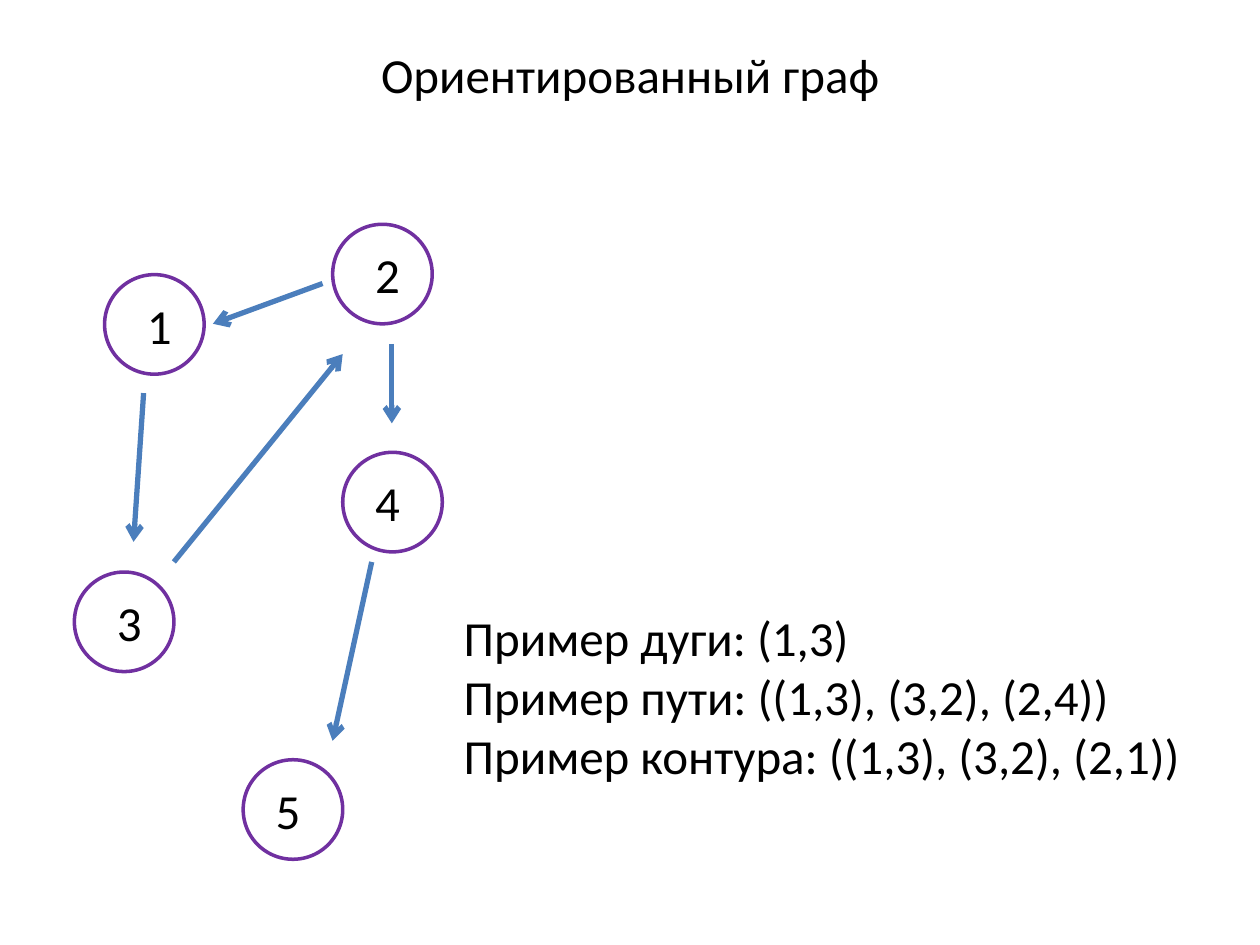
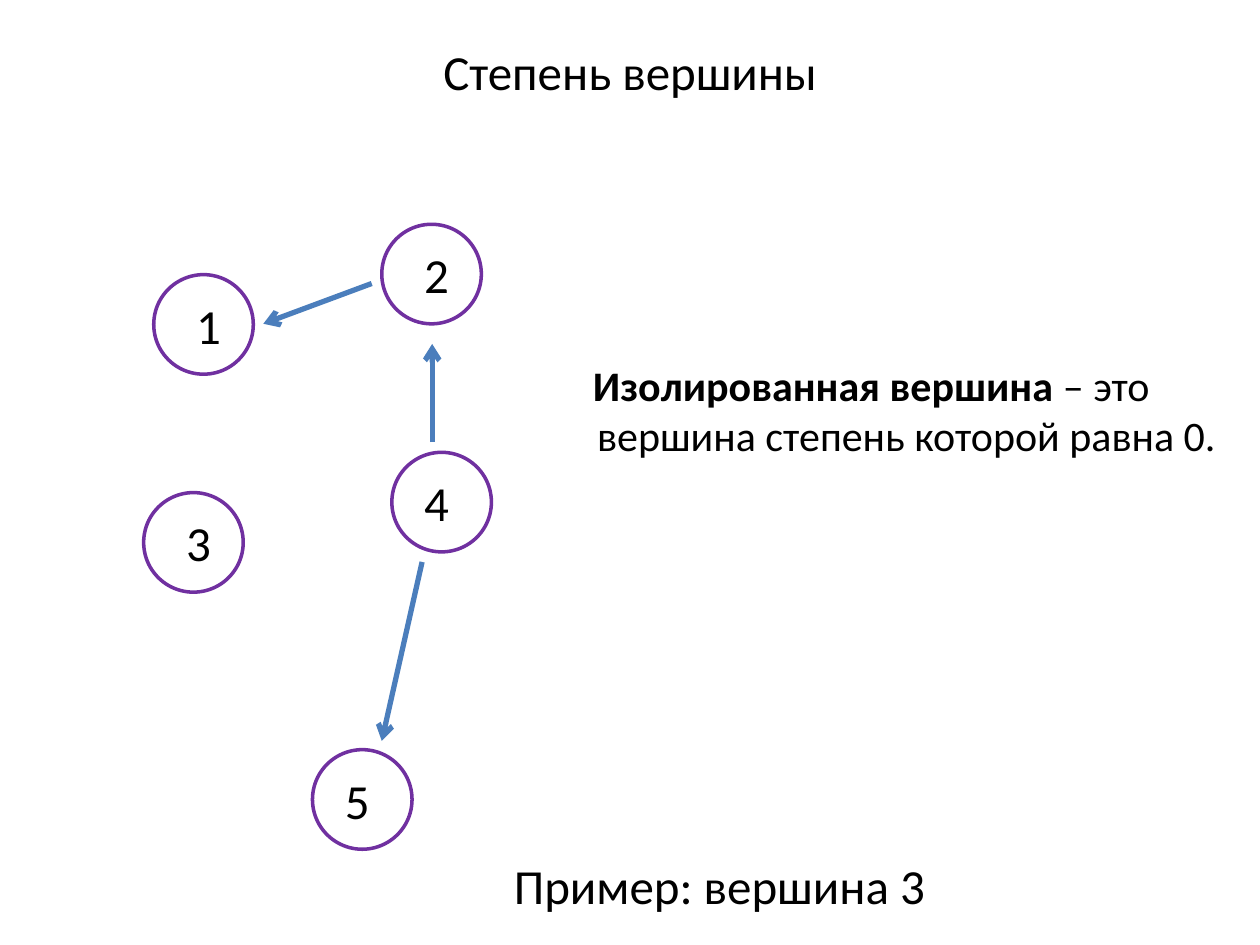
from lxml.etree import SubElement
from pptx import Presentation
from pptx.dml.color import RGBColor
from pptx.enum.shapes import MSO_CONNECTOR, MSO_SHAPE
from pptx.enum.text import MSO_ANCHOR, MSO_AUTO_SIZE, PP_ALIGN
from pptx.oxml.ns import qn
from pptx.util import Inches, Pt

COLORS = {"text": "000000", "node": "FFFFFF", "outline": "7030A0", "arrow": "4B7EBC"}
FONT = "Calibri"
HANGING = 0.56
DIAMETER = 0.79
# Digits stand slightly right or left of the circle's centre
LABEL_SHIFT = {"1": 0.04, "2": 0.04, "3": 0.04, "4": -0.04, "5": -0.04}

# Nodes give the left and top of each circle; arrows run from point to point.
# Each text line is a list of (text, bold) runs.
DIRECTED = {
    "title": "Ориентированный граф",
    "title_top": 0,
    "nodes": {"1": (0.83, 2.18), "2": (2.64, 1.78), "3": (0.59, 4.54),
              "4": (2.72, 3.59), "5": (1.93, 6.03)},
    "arrows": [
        ((2.56, 2.25), (1.69, 2.57)),
        ((1.14, 3.12), (1.06, 4.3)),
        ((1.38, 4.46), (2.72, 2.81)),
        ((3.11, 2.73), (3.11, 3.36)),
        ((2.95, 4.46), (2.64, 5.88)),
    ],
    "body": [
        [("Пример дуги: (1,3)", False)],
        [("Пример пути: ((1,3), (3,2), (2,4))", False)],
        [("Пример контура: ((1,3), (3,2), (2,1))", False)],
    ],
    "body_box": (3.58, 4.54, 6.18, 2.44),
    "body_format": {"margins": (0.1, 0.05, 0.1, 0.52)},
}
DEGREE = {
    "title": "Степень вершины",
    "title_top": -0.03,
    "nodes": {"1": (1.22, 2.18), "2": (3.03, 1.78), "3": (1.14, 3.91),
              "4": (3.11, 3.59), "5": (2.48, 5.95)},
    "arrows": [
        ((2.95, 2.25), (2.09, 2.57)),
        ((3.43, 3.51), (3.43, 2.73)),
        ((3.35, 4.46), (3.03, 5.88)),
    ],
    "body": [[("Изолированная вершина", True),
              (" – это вершина степень которой равна 0.", False)]],
    "body_box": (4.06, 2.5, 5.71, 1.5),
    "body_format": {"size": 24, "align": PP_ALIGN.CENTER},
}
EXAMPLE = "Пример: вершина 3"
EXAMPLE_BOX = (3.98, 6.72, 6.02, 0.6)


def color(name):
    return RGBColor.from_string(COLORS[name])


def place(shape, box):
    shape.left, shape.top, shape.width, shape.height = map(Inches, box)


def write(shape, lines, size=28, align=PP_ALIGN.LEFT, hanging=HANGING,
          margins=(0.1, 0.05, 0.1, 0.05)):
    """Fill a shape with a string or with lines of (text, bold) runs."""
    if isinstance(lines, str):
        lines = [[(lines, False)]]
    frame = shape.text_frame
    frame.word_wrap = True
    frame.auto_size = MSO_AUTO_SIZE.NONE
    frame.vertical_anchor = MSO_ANCHOR.MIDDLE
    (frame.margin_left, frame.margin_top,
     frame.margin_right, frame.margin_bottom) = map(Inches, margins)
    for index, line in enumerate(lines):
        paragraph = frame.add_paragraph() if index else frame.paragraphs[0]
        paragraph.alignment = align
        paragraph.space_before = Pt(0)
        properties = paragraph._p.get_or_add_pPr()
        properties.set("marL", str(Inches(hanging)))
        properties.set("indent", str(-Inches(hanging)))
        SubElement(properties, qn("a:buNone"))
        for text, bold in line:
            run = paragraph.add_run()
            run.text = text
            run.font.name = FONT
            run.font.size = Pt(size)
            run.font.bold = bold
            run.font.color.rgb = color("text")


def add_node(slide, label, position):
    node = slide.shapes.add_shape(
        MSO_SHAPE.OVAL, *map(Inches, (*position, DIAMETER, DIAMETER)))
    node.shadow.inherit = False
    node.fill.solid()
    node.fill.fore_color.rgb = color("node")
    node.line.color.rgb = color("outline")
    node.line.width = Pt(2)
    shift = LABEL_SHIFT[label]
    write(node, label, align=PP_ALIGN.CENTER, hanging=0,
          margins=(max(2 * shift, 0), 0, max(-2 * shift, 0), 0))


def add_arrow(slide, start, end):
    arrow = slide.shapes.add_connector(
        MSO_CONNECTOR.STRAIGHT, *map(Inches, (*start, *end)))
    arrow.line.color.rgb = color("arrow")
    arrow.line.width = Pt(3)
    SubElement(arrow.line._get_or_add_ln(), qn("a:tailEnd"), type="arrow")
    SubElement(arrow._element.spPr, qn("a:effectLst"))


def add_graph_slide(presentation, content):
    slide = presentation.slides.add_slide(presentation.slide_layouts[1])
    title, body = slide.placeholders
    place(title, (0, content["title_top"], 10, 1.18))
    write(title, content["title"], align=PP_ALIGN.CENTER)
    place(body, content["body_box"])
    write(body, content["body"], **content["body_format"])
    for label, position in content["nodes"].items():
        add_node(slide, label, position)
    for start, end in content["arrows"]:
        add_arrow(slide, start, end)
    return slide


def main():
    presentation = Presentation()
    presentation.slide_width = Inches(10)
    presentation.slide_height = Inches(7.5)
    add_graph_slide(presentation, DIRECTED)
    degree_slide = add_graph_slide(presentation, DEGREE)
    example = degree_slide.shapes.add_textbox(*map(Inches, EXAMPLE_BOX))
    write(example, EXAMPLE)
    presentation.save("out.pptx")


if __name__ == "__main__":
    main()
